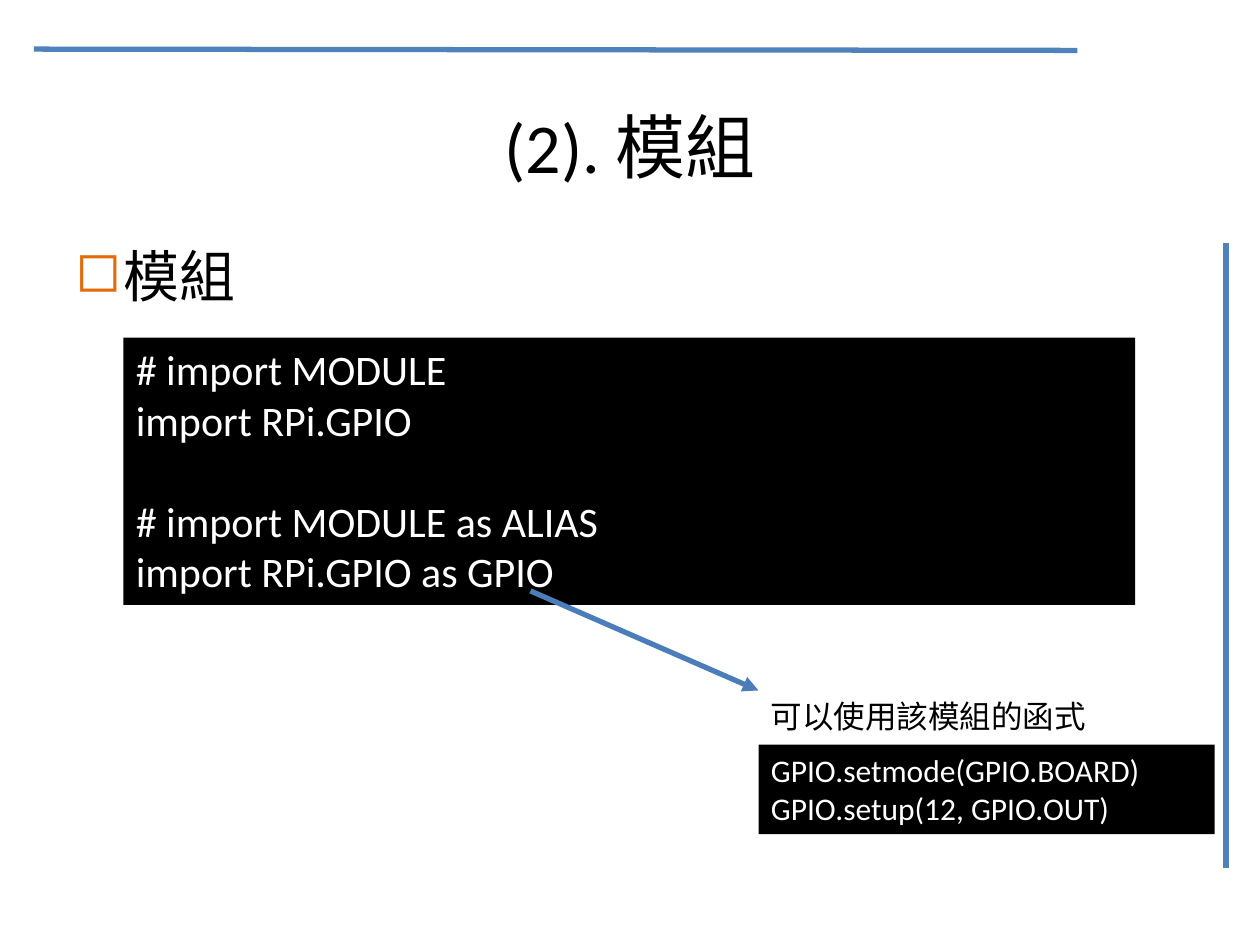
from dataclasses import dataclass

from lxml.etree import SubElement
from pptx import Presentation
from pptx.dml.color import RGBColor as Color
from pptx.enum.shapes import MSO_CONNECTOR as Connector, MSO_SHAPE as Shape
from pptx.enum.text import MSO_ANCHOR as Anchor, PP_ALIGN as Align
from pptx.oxml.ns import qn
from pptx.util import Inches, Pt


@dataclass(frozen=True)
class Theme:
    """Colours, font and type sizes of the slide."""
    font: str = "Calibri"
    black: str = "000000"
    white: str = "FFFFFF"
    rule: str = "4F81BD"
    arrow: str = "4A7DBA"
    bullet: str = "E36C09"
    title_size: int = 40
    body_size: int = 32
    code_size: int = 24
    note_size: int = 18
    line_width: int = 3


def write_text(frame, text, *, font, size, color, align=Align.LEFT,
               anchor=Anchor.TOP, bullet_color=None, block_gap=0):
    """Fill a frame with lines; blocks split by an empty line get a gap."""
    frame.word_wrap = True
    frame.vertical_anchor = anchor
    paragraph = None
    for block_index, block in enumerate(text.split("\n\n")):
        for line_index, line in enumerate(block.split("\n")):
            paragraph = frame.add_paragraph() if paragraph else frame.paragraphs[0]
            paragraph.text = line
            paragraph.alignment = align
            if block_index and not line_index:
                paragraph.space_before = Pt(block_gap)
            if bullet_color:
                add_bullet(paragraph, bullet_color)
            paragraph.font.name = font
            paragraph.font.size = Pt(size)
            paragraph.font.color.rgb = Color.from_string(color)


def add_bullet(paragraph, color):
    """Give a paragraph a hollow square bullet and a hanging indent."""
    properties = paragraph._p.get_or_add_pPr()
    properties.set("marL", str(Inches(0.38)))
    properties.set("indent", str(-Inches(0.38)))
    bullet_color = SubElement(properties, qn("a:buClr"))
    SubElement(bullet_color, qn("a:srgbClr"), val=color)
    SubElement(properties, qn("a:buChar"), char="◻")


class SlideBuilder:
    """Draws styled elements on one slide."""

    def __init__(self, slide, theme):
        self.slide = slide
        self.theme = theme

    def text(self, box, text, size, **style):
        """Add a plain text box."""
        shape = self.slide.shapes.add_textbox(*map(Inches, box))
        write_text(shape.text_frame, text, font=self.theme.font, size=size,
                   color=self.theme.black, **style)

    def code(self, box, text, size, **style):
        """Add a black panel with white code."""
        shape = self.slide.shapes.add_shape(Shape.RECTANGLE, *map(Inches, box))
        shape.shadow.inherit = False
        shape.fill.solid()
        shape.fill.fore_color.rgb = Color.from_string(self.theme.black)
        shape.line.fill.background()
        write_text(shape.text_frame, text, font=self.theme.font, size=size,
                   color=self.theme.white, **style)

    def line(self, start, end, color, arrow=False):
        """Add a straight line, with an arrowhead at its end if asked."""
        connector = self.slide.shapes.add_connector(
            Connector.STRAIGHT, *map(Inches, start + end))
        connector.line.color.rgb = Color.from_string(color)
        connector.line.width = Pt(self.theme.line_width)
        if arrow:
            SubElement(connector.line._get_or_add_ln(), qn("a:tailEnd"), type="triangle")
        SubElement(connector._element.spPr, qn("a:effectLst"))


def main():
    """Build and save the module slide."""
    presentation = Presentation()
    presentation.slide_width = Inches(10)
    presentation.slide_height = Inches(7.5)
    theme = Theme()
    slide = presentation.slides.add_slide(presentation.slide_layouts[6])
    builder = SlideBuilder(slide, theme)

    builder.line((9.73, 1.93), (9.73, 6.89), theme.rule)
    builder.line((0.27, 0.39), (8.55, 0.4), theme.rule)
    builder.text((0.5, 0.53, 9, 1.25), "(2). 模組", theme.title_size,
                 align=Align.CENTER, anchor=Anchor.MIDDLE)
    builder.text((0.5, 1.87, 9, 4.95), "模組", theme.body_size,
                 bullet_color=theme.bullet)
    builder.code((0.98, 2.68, 8.03, 2.12),
                 "# import MODULE\nimport RPi.GPIO\n\n"
                 "# import MODULE as ALIAS\nimport RPi.GPIO as GPIO",
                 theme.code_size, block_gap=29)

    note_left, note_top = 6.02, 5.48
    builder.line((4.21, 4.69), (note_left, note_top), theme.arrow, arrow=True)
    builder.code((note_left, 5.91, 3.62, 0.71),
                 "GPIO.setmode(GPIO.BOARD)\nGPIO.setup(12, GPIO.OUT)",
                 theme.note_size)
    builder.text((note_left, note_top, 2.73, 0.4), "可以使用該模組的函式",
                 theme.note_size)
    presentation.save("out.pptx")


if __name__ == "__main__":
    main()
